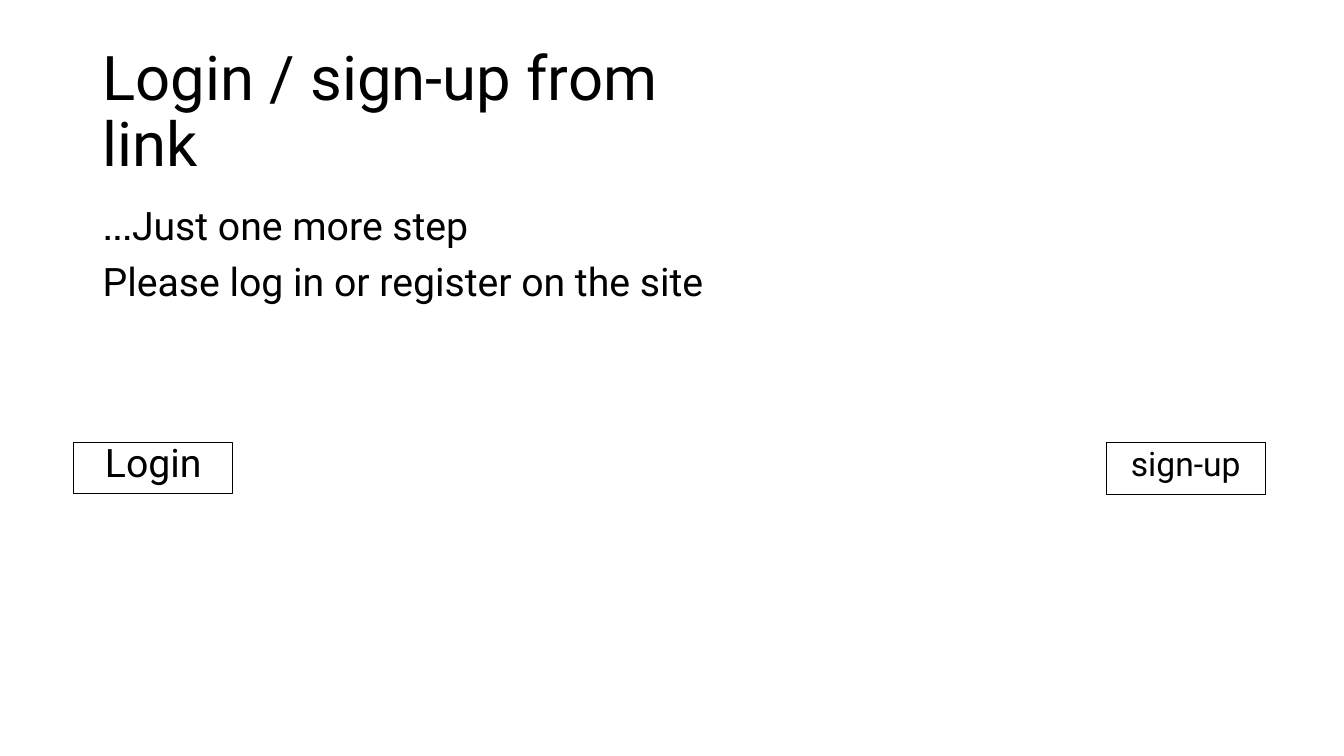
from dataclasses import dataclass

from pptx import Presentation
from pptx.dml.color import RGBColor
from pptx.enum.shapes import MSO_SHAPE as Shape
from pptx.enum.text import MSO_ANCHOR as Anchor, PP_ALIGN as Align
from pptx.util import Inches, Pt


@dataclass(frozen=True)
class Theme:
    font: str = "Roboto"
    ink: RGBColor = RGBColor(0, 0, 0)
    paper: RGBColor = RGBColor(255, 255, 255)
    title: int = 44
    body: int = 28
    small: int = 24
    outline: float = 0.75


theme = Theme()


def write(box, lines, size, align=Align.LEFT, anchor=Anchor.TOP, spacing=0.9, before=10):
    frame = box.text_frame
    frame.word_wrap = True
    frame.vertical_anchor = anchor
    for index, line in enumerate(lines):
        para = frame.add_paragraph() if index else frame.paragraphs[0]
        para.alignment = align
        para.line_spacing = spacing
        para.space_before = Pt(before)
        para._p.get_or_add_pPr().set("rtl", "1")
        span = para.add_run()
        span.text = line
        span.font.name = theme.font
        span.font.size = Pt(size)
        span.font.color.rgb = theme.ink


deck = Presentation()
deck.slide_width = Inches(13.33)
deck.slide_height = Inches(7.5)
page = deck.slides.add_slide(deck.slide_layouts[6])
page.background.fill.solid()
page.background.fill.fore_color.rgb = theme.paper

title = page.shapes.add_textbox(Inches(0.92), Inches(0.4), Inches(6.19), Inches(1.45))
write(title, ["Login / sign-up from link"], theme.title, anchor=Anchor.MIDDLE, before=0)

message = page.shapes.add_textbox(Inches(0.92), Inches(2), Inches(11.5), Inches(4.76))
write(message, ["Just one more step...", "Please log in or register on the site"], theme.body)

buttons = [
    ("Login", 0.73, 0.51, theme.body, 0.8),
    ("sign-up", 10.97, 0.52, theme.small, 0.9),
]
for label, left, height, size, spacing in buttons:
    button = page.shapes.add_shape(
        Shape.RECTANGLE, Inches(left), Inches(4.39), Inches(1.58), Inches(height)
    )
    button.shadow.inherit = False
    button.fill.background()
    button.line.color.rgb = theme.ink
    button.line.width = Pt(theme.outline)
    write(button, [label], size, align=Align.CENTER, spacing=spacing)

deck.save("out.pptx")
